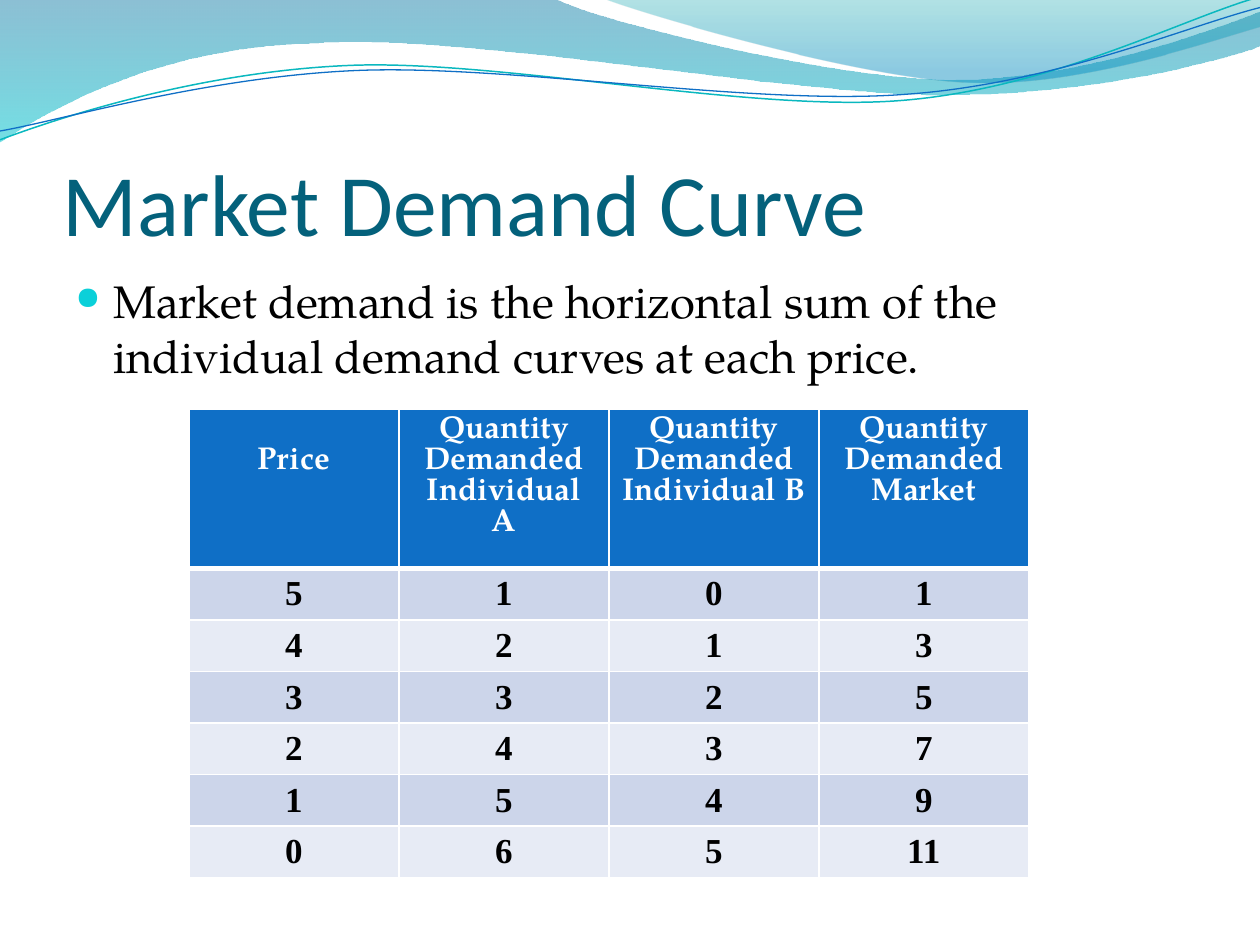
"""Build the Market Demand Curve slide with its wave banner and demand table."""
import pptx
import pptx.dml.color
import pptx.enum.text
import pptx.oxml
import pptx.oxml.ns
import pptx.util
from lxml import etree

Cm = pptx.util.Cm
Pt = pptx.util.Pt
RGBColor = pptx.dml.color.RGBColor
qn = pptx.oxml.ns.qn
ALIGN = pptx.enum.text.PP_ALIGN
ANCHOR = pptx.enum.text.MSO_ANCHOR

WHITE = RGBColor(0xFF, 0xFF, 0xFF)
BLACK = RGBColor(0, 0, 0)
TITLE_TEAL = RGBColor(0x04, 0x61, 0x7B)
BULLET_CYAN = RGBColor(0x0B, 0xD0, 0xD9)
BLUE = RGBColor(0x0F, 0x6F, 0xC6)
TEAL = RGBColor(0x0A, 0xB8, 0xBF)
BAND_DARK = RGBColor(0xCC, 0xD5, 0xEA)
BAND_LIGHT = RGBColor(0xE7, 0xEB, 0xF5)
WAVE_BLUE = RGBColor(0x00, 0x74, 0xA1)
WAVE_CYAN = RGBColor(0x00, 0xC6, 0xCF)
CREST_TEAL = RGBColor(0x00, 0xA1, 0xA9)
CREST_BLUE = RGBColor(0x00, 0x8B, 0xBF)
SERIF = "TeX Gyre Pagella"
INCH = 2.54

deck = pptx.Presentation()
deck.slide_width, deck.slide_height = Cm(25.4), Cm(19.05)
page = deck.slides.add_slide(deck.slide_layouts[6])


def add_wave(segments, closed):
    """Trace straight (2 numbers) and Bezier (6 numbers) segments given in inches."""
    places = [(Cm(x * INCH), Cm(y * INCH))
              for segment in segments for x, y in zip(segment[::2], segment[1::2])]
    builder = page.shapes.build_freeform(*places[0])
    builder.add_line_segments(places[1:], close=closed)
    wave = builder.convert_to_shape()
    wave.shadow.inherit = False
    corners = iter(list(wave._element.iter(qn("a:lnTo"))))
    for segment in segments[1:]:
        corner = next(corners)
        if len(segment) == 6:
            bend = etree.Element(qn("a:cubicBezTo"))
            corner.addprevious(bend)
            for node in (corner, next(corners), next(corners)):
                bend.append(node[0])
                node.getparent().remove(node)
    return wave


def add_text(left, top, width, height, text, size, font, color):
    """Add a wrapping text box with one paragraph."""
    box = page.shapes.add_textbox(Cm(left), Cm(top), Cm(width), Cm(height))
    box.text_frame.word_wrap = True
    paragraph = box.text_frame.paragraphs[0]
    paragraph.text = text
    paragraph.font.size, paragraph.font.name = Pt(size), font
    paragraph.font.color.rgb = color
    return box.text_frame


bands = [
    ([(0, 0), (4.4, -0.01), (4.76, 0.17, 6.64, 0.63, 7.58, 0.63),
      (8.53, 0.63, 9.58, 0.26, 10, 0.09), (10.01, 0.36),
      (9.83, 0.44, 8.7, 0.76, 7.46, 0.75), (6.22, 0.75, 3.82, 0.28, 2.57, 0.34),
      (1.29, 0.36, 0.46, 0.83, -0.01, 1.13)],
     [(0, WAVE_BLUE, 45), (1, WAVE_CYAN, 55)]),
    ([(4.79, -0.01), (5.09, 0.11, 6.82, 0.62, 7.69, 0.65),
      (8.56, 0.69, 9.61, 0.32, 10, 0.21), (10, 0)],
     [(0, CREST_TEAL, 30), (0.8, CREST_BLUE, 45)]),
]
for segments, stops in bands:
    band = add_wave(segments, True)
    band.line.fill.background()
    band.fill.gradient()
    band.fill.gradient_angle = 270
    for stop, (position, color, opacity) in zip(band.fill.gradient_stops, stops):
        stop.position = position
        stop.color.rgb = color
    for node, (position, color, opacity) in zip(
            band._element.spPr.iter(qn("a:srgbClr")), stops):
        etree.SubElement(node, qn("a:alpha"), val=str(opacity * 1000))

curves = [
    ([(0, 1.11), (0.48, 0.93, 1.58, 0.57, 2.77, 0.52), (3.95, 0.47, 5.93, 0.89, 7.13, 0.8),
      (8.33, 0.71, 9.38, 0.15, 9.98, -0.02)], TEAL, 0.85),
    ([(0, 1.04), (0.47, 0.96, 1.64, 0.61, 2.83, 0.56), (4.03, 0.51, 5.97, 0.84, 7.17, 0.75),
      (8.36, 0.67, 9.41, 0.21, 10, 0.06)], BLUE, 0.75),
]
for segments, color, width in curves:
    curve = add_wave(segments, False)
    curve.fill.background()
    curve.line.color.rgb = color
    curve.line.width = Pt(width)

title = add_text(1.27, 1.96, 22.86, 3.17, "Market Demand Curve", 50, "Calibri", TITLE_TEAL)
title.vertical_anchor = ANCHOR.BOTTOM
title.margin_left = title.margin_right = title.margin_bottom = 0

body = add_text(1.27, 5.38, 22.86, 12.19,
                "Market demand is the horizontal sum of the individual demand curves "
                "at each price.", 26, SERIF, BLACK)
bullet = body.paragraphs[0]._p.get_or_add_pPr()
bullet.set("marL", str(Cm(0.76)))
bullet.set("indent", str(-Cm(0.76)))
marks = [pptx.oxml.parse_xml(f'<a:{tag} xmlns:a="{bullet.nsmap["a"]}"{rest}')
         for tag, rest in (("buClr", f'><a:srgbClr val="{BULLET_CYAN}"/></a:buClr>'),
                           ("buSzPct", ' val="70000"/>'),
                           ("buChar", ' char="●"/>'))]
for index, mark in enumerate(marks):
    bullet.insert(index, mark)

headings = ["Price", "Quantity Demanded Individual A", "Quantity Demanded Individual B",
            "Quantity Demanded Market"]
demand = [(5, 1, 0), (4, 2, 1), (3, 3, 2), (2, 4, 3), (1, 5, 4), (0, 6, 5)]
rows = [headings] + [[price, first, second, first + second]
                     for price, first, second in demand]
table = page.shapes.add_table(len(rows), len(headings), Cm(3.81), Cm(8.26),
                              Cm(16.93), Cm(8.98)).table
for row_index, values in enumerate(rows):
    header = row_index == 0
    table.rows[row_index].height = Cm(2.74 if header else 1.04)
    for column_index, value in enumerate(values):
        cell = table.cell(row_index, column_index)
        cell.text = str(value)
        cell.margin_bottom = Cm(0.02)
        paragraph = cell.text_frame.paragraphs[0]
        paragraph.alignment = ALIGN.CENTER
        paragraph.font.bold = True
        paragraph.font.size = Pt(18 if header else 20)
        paragraph.font.name = SERIF if header else "Times New Roman"
        paragraph.font.color.rgb = WHITE if header else BLACK
        properties = cell._tc.get_or_add_tcPr()
        for side in "LRTB":
            thick = (row_index, side) in ((0, "B"), (1, "T"))
            border = etree.SubElement(properties, qn(f"a:ln{side}"),
                                      w=str(Pt(3 if thick else 1)))
            paint = etree.SubElement(border, qn("a:solidFill"))
            etree.SubElement(paint, qn("a:srgbClr"), val=str(WHITE))
        cell.fill.solid()
        cell.fill.fore_color.rgb = BLUE if header else (BAND_LIGHT, BAND_DARK)[row_index % 2]
table.cell(0, 0).margin_top = Cm(0.75)

deck.save("out.pptx")
